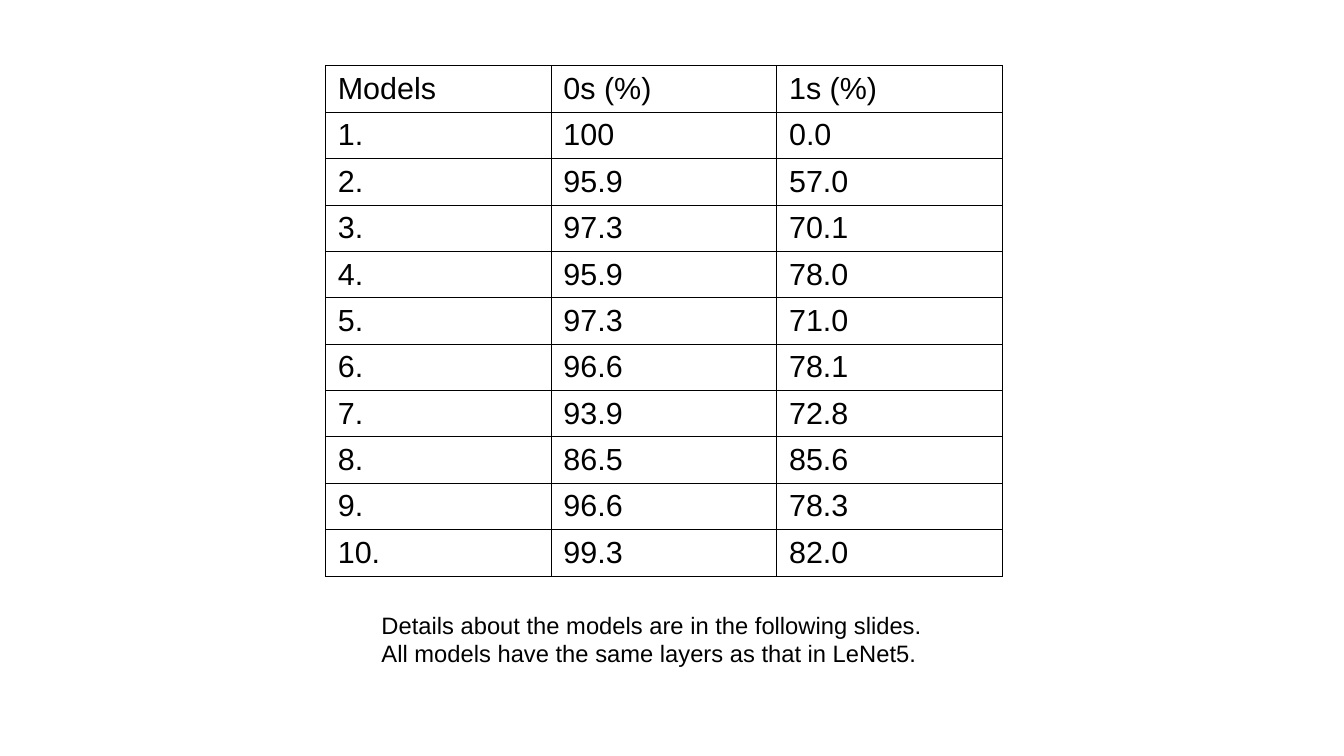
from lxml.etree import SubElement
from pptx import Presentation
from pptx.dml.color import RGBColor as Rgb
from pptx.oxml.ns import qn
from pptx.util import Inches, Pt

COLORS = {"text": "000000", "border": "000000"}
HEADER = ("Models", "0s (%)", "1s (%)")
ACCURACIES = [
    ("100", "0.0"),
    ("95.9", "57.0"),
    ("97.3", "70.1"),
    ("95.9", "78.0"),
    ("97.3", "71.0"),
    ("96.6", "78.1"),
    ("93.9", "72.8"),
    ("86.5", "85.6"),
    ("96.6", "78.3"),
    ("99.3", "82.0"),
]
NOTES = (
    "Details about the models are in the following slides.",
    "All models have the same layers as that in LeNet5.",
)


class SlideBuilder:
    def __init__(self, slide, font="Arial", border_width=0.57):
        self.slide = slide
        self.font = font
        self.border_width = border_width

    def style(self, paragraph, size):
        paragraph.font.name = self.font
        paragraph.font.size = Pt(size)
        paragraph.font.color.rgb = Rgb.from_string(COLORS["text"])

    def border(self, cell):
        properties = cell._tc.get_or_add_tcPr()
        for side in ("a:lnL", "a:lnR", "a:lnT", "a:lnB"):
            line = SubElement(properties, qn(side), w=str(Pt(self.border_width)))
            fill = SubElement(line, qn("a:solidFill"))
            SubElement(fill, qn("a:srgbClr"), val=COLORS["border"])

    def table(self, rows, left, top, column_width, row_height, size):
        columns = len(rows[0])
        table = self.slide.shapes.add_table(
            len(rows), columns, Inches(left), Inches(top),
            Inches(column_width * columns), Inches(row_height * len(rows)),
        ).table
        table.first_row = table.horz_banding = False
        for row, values in zip(table.rows, rows):
            for cell, value in zip(row.cells, values):
                cell.text = value
                self.style(cell.text_frame.paragraphs[0], size)
                self.border(cell)
                cell.fill.background()

    def text(self, lines, left, top, width, height, size):
        frame = self.slide.shapes.add_textbox(
            Inches(left), Inches(top), Inches(width), Inches(height)
        ).text_frame
        frame.word_wrap = True
        frame.text = "\n".join(lines)
        for paragraph in frame.paragraphs:
            self.style(paragraph, size)


def main():
    deck = Presentation()
    deck.slide_width, deck.slide_height = Inches(11.02), Inches(6.2)
    builder = SlideBuilder(deck.slides.add_slide(deck.slide_layouts[6]))
    models = [(f"{number}.", *scores) for number, scores in enumerate(ACCURACIES, 1)]
    builder.table([HEADER, *models], 2.67, 0.54, 1.85, 0.38, size=18)
    builder.text(NOTES, 3.03, 4.96, 6.54, 0.54, size=14)
    deck.save("out.pptx")


if __name__ == "__main__":
    main()
